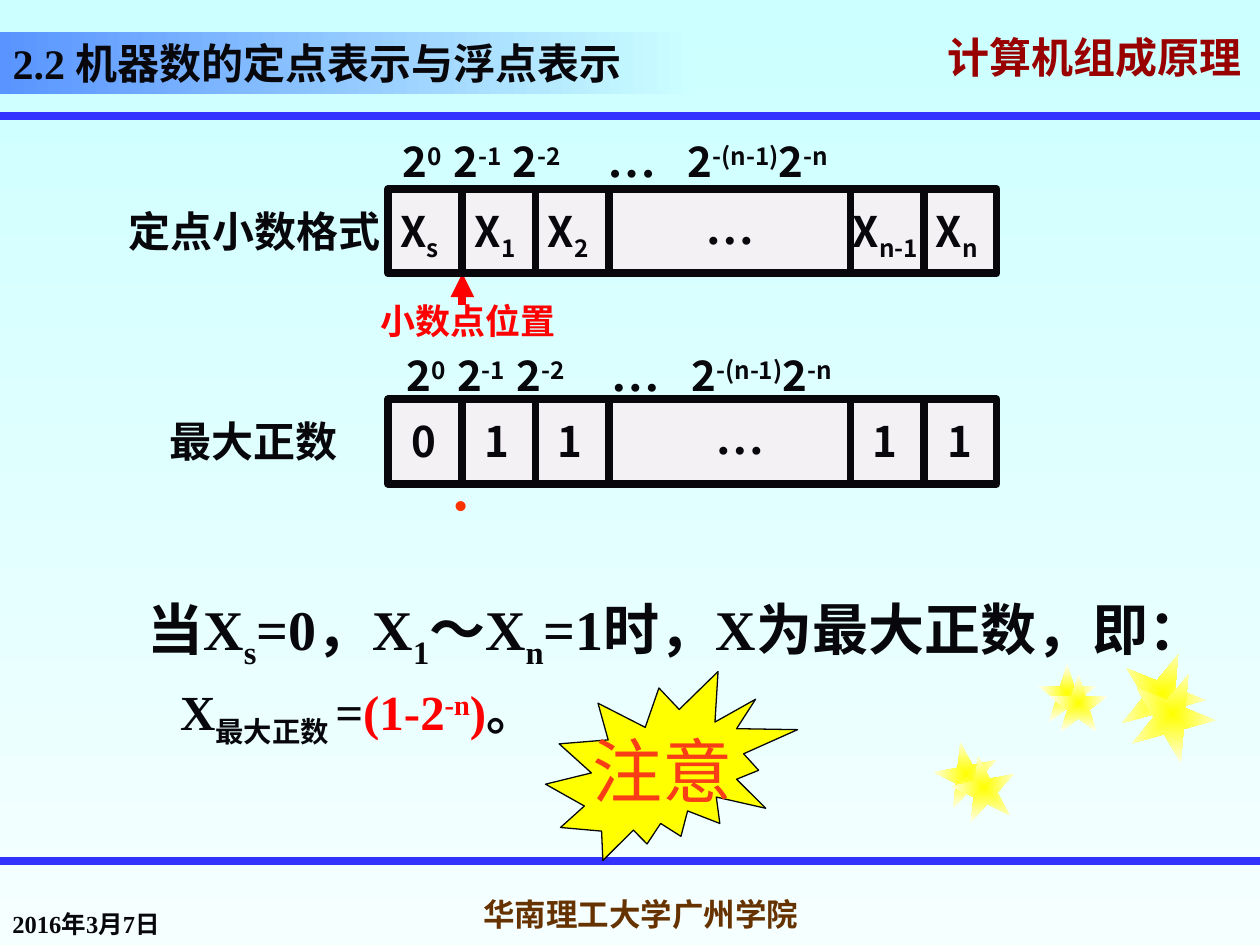
from lxml.etree import SubElement
from pptx import Presentation
from pptx.dml.color import RGBColor
from pptx.enum.shapes import MSO_CONNECTOR, MSO_SHAPE
from pptx.enum.text import MSO_ANCHOR, MSO_AUTO_SIZE, PP_ALIGN
from pptx.oxml.ns import qn
from pptx.util import Inches, Pt

HUES = {
    "ink": "08080C", "cell": "F4F1F5", "rule": "3333FF", "brand": "990000",
    "shade": "808080", "school": "663300", "red": "FF0000", "dot": "FF3300",
    "note": "F93D17", "yellow": "FFFF00", "cream": "FFFFF5", "bar": "5994FF",
    "sky": "CCFFFF", "pale": "F5FFFF",
}
SANS, SERIF = "Noto Sans CJK SC", "Times New Roman"
EDGES = [3.08, 3.67, 4.25, 4.83, 6.75, 7.33, 7.91]
HIGH = 0.67


def tint(name):
    return RGBColor.from_string(HUES[name])


class Deck:
    """Holds the style and the current slide, with a method per kind of element."""

    def __init__(self, slide):
        self.slide = slide
        self.shapes = slide.shapes

    def blend(self, fill, first, last, angle):
        fill.gradient()
        fill.gradient_angle = angle
        for stop, hue in zip(fill.gradient_stops, (first, last)):
            stop.color.rgb = tint(hue)

    def put(self, para, text, size=24, font=SANS, hue="ink", bold=True):
        for part in text.split("|"):
            base = {"_": "-25000", "^": "30000"}.get(part[0])
            run = para.add_run()
            run.text = part[1:] if base else part
            run.font.size = Pt(size)
            run.font.bold = bold
            run.font.name = font
            run.font.color.rgb = tint(hue)
            props = run.font._element
            SubElement(props, qn("a:ea")).set("typeface", SANS)
            if base:
                props.set("baseline", base)

    def label(self, box, text, align=PP_ALIGN.LEFT, anchor=MSO_ANCHOR.TOP, **style):
        shape = self.shapes.add_textbox(*map(Inches, box))
        frame = shape.text_frame
        frame.word_wrap = True
        frame.vertical_anchor = anchor
        para = frame.paragraphs[0]
        para.alignment = align
        if text:
            self.put(para, text, **style)
        return para

    def line(self, start, end, hue="ink", arrow=False):
        link = self.shapes.add_connector(
            MSO_CONNECTOR.STRAIGHT, *map(Inches, (*start, *end)))
        link.line.color.rgb = tint(hue)
        link.line.width = Pt(4.5)
        props = link._element.spPr
        if arrow:
            SubElement(props.find(qn("a:ln")), qn("a:tailEnd")).set("type", "triangle")
        SubElement(props, qn("a:effectLst"))

    def shape(self, kind, box, fill, width=0):
        item = self.shapes.add_shape(kind, *map(Inches, box))
        item.shadow.inherit = False
        item.fill.solid()
        item.fill.fore_color.rgb = tint(fill)
        if width:
            item.line.color.rgb = tint("ink")
            item.line.width = Pt(width)
        else:
            item.line.fill.background()
        return item

    def star(self, left, top, size, turn):
        item = self.shape(MSO_SHAPE.STAR_5_POINT, (left, top, size, size), "yellow")
        item.rotation = turn
        self.blend(item.fill, "yellow", "cream", 0)
        grad = item._element.spPr.find(qn("a:gradFill"))
        grad.remove(grad.find(qn("a:lin")))
        way = SubElement(grad, qn("a:path"), {"path": "shape"})
        SubElement(way, qn("a:fillToRect"), dict.fromkeys("ltrb", "50000"))

    def powers(self, left, top):
        para = self.label((left, top, 4.9, 0.57), "", anchor=MSO_ANCHOR.MIDDLE)
        tabs = SubElement(para._p.get_or_add_pPr(), qn("a:tabLst"))
        for stop in (0.4, 0.87, 1.62, 2.26):
            SubElement(tabs, qn("a:tab"), {"pos": str(Inches(stop)), "algn": "l"})
        self.put(para, "2|^0|\t2|^-1|\t2|^-2|\t")
        self.put(para, "…", 28, SERIF)
        self.put(para, "\t2|^-(n-1)|2|^-n")

    def word(self, top, cells, dots):
        self.shape(MSO_SHAPE.RECTANGLE,
                   (EDGES[0], top, EDGES[-1] - EDGES[0], HIGH), "cell", 4.5)
        for edge in EDGES[1:-1]:
            self.line((edge, top), (edge, top + HIGH))
        for left, text in cells:
            self.label((left, top + 0.08, 1.17, 0.5), text)
        self.label((dots, top, 1.08, 0.57), "…", size=28, font=SERIF)

    def title(self):
        item = self.shapes.title
        item.left, item.top, item.width, item.height = map(Inches, (0, 0.25, 5.5, 0.5))
        self.blend(item.fill, "bar", "sky", 0)
        frame = item.text_frame
        frame.auto_size = MSO_AUTO_SIZE.NONE
        frame.vertical_anchor = MSO_ANCHOR.BOTTOM
        para = frame.paragraphs[0]
        para.alignment = PP_ALIGN.LEFT
        self.put(para, "2.2 机器", font=SERIF)
        self.put(para, "数的定点表示与浮点表示")

    def body(self):
        item = self.slide.placeholders[1]
        item.left, item.top, item.width, item.height = map(
            Inches, (0.83, 4.67, 8.58, 1.67))
        frame = item.text_frame
        frame.auto_size = MSO_AUTO_SIZE.NONE
        first, second = frame.paragraphs[0], frame.add_paragraph()
        second.level = 1
        first.space_before, second.space_before = Pt(0), Pt(5.6)
        for para, left, hang in ((first, 0.38, -0.14), (second, 0.81, -0.31)):
            props = para._p.get_or_add_pPr()
            props.set("marL", str(Inches(left)))
            props.set("indent", str(Inches(hang)))
            SubElement(props, qn("a:buNone"))
        self.put(first, "当X|_s|=0，X|_1|～X|_n|=1时，X为最大正数，即：", 32, SERIF)
        self.put(second, "X|_最大正数 |=", 28, SERIF)
        self.put(second, "(1-2|^-n|)", 28, SERIF, "red")
        self.put(second, "。", 28, SERIF)

    def brand(self):
        para = self.label((7.42, 0.25, 2.58, 0.5), "计算机组成原理",
                          anchor=MSO_ANCHOR.MIDDLE, hue="brand")
        para.line_spacing = 0.7
        props = para.runs[0].font._element
        glow = SubElement(props, qn("a:effectLst"))
        cast = SubElement(glow, qn("a:outerShdw"), {"dist": "35921", "dir": "2700000"})
        SubElement(cast, qn("a:srgbClr"), {"val": HUES["shade"]})
        props.find(qn("a:latin")).addprevious(glow)

    def seal(self):
        item = self.shape(MSO_SHAPE.EXPLOSION2, (4.33, 5.33, 2, 1.5), "yellow", 0.75)
        frame = item.text_frame
        frame.word_wrap = False
        frame.vertical_anchor = MSO_ANCHOR.MIDDLE
        para = frame.paragraphs[0]
        para.alignment = PP_ALIGN.CENTER
        self.put(para, "注意", 40, SERIF, "note", False)


def main():
    show = Presentation()
    show.slide_width, show.slide_height = Inches(10), Inches(7.5)
    deck = Deck(show.slides.add_slide(show.slide_layouts[1]))
    deck.blend(deck.slide.background.fill, "sky", "pale", 270)
    deck.title()
    deck.brand()
    for top in (0.92, 6.83):
        deck.line((0, top), (10, top), "rule")
    for star in ((7.42, 5.89, 0.5, 349), (8.24, 5.27, 0.46, 0), (8.89, 5.17, 0.67, 22),
                 (7.56, 6, 0.5, 349), (8.33, 5.35, 0.46, 0), (8.97, 5.33, 0.67, 22)):
        deck.star(*star)
    deck.label((0, 7, 2.08, 0.5), "2016年3月7日",
               anchor=MSO_ANCHOR.BOTTOM, size=14, font=SERIF)
    deck.label((3.5, 7, 3.17, 0.5), "华南理工大学广州学院", PP_ALIGN.CENTER,
               MSO_ANCHOR.MIDDLE, size=18, font=SERIF, hue="school")
    deck.body()

    deck.label((0.92, 1.58, 2.5, 0.5), "定点小数格式")
    deck.label((2.92, 2.33, 2.08, 0.43), "小数点位置", size=20, font=SERIF, hue="red")
    deck.line((3.67, 2.42), (3.67, 2.17), "red", True)
    names = ("X|_s", "X|_1", "X|_2", "X|_n-1", "X|_n")
    deck.word(1.5, zip((3.08, 3.67, 4.25, 6.67, 7.33), names), 5.5)
    deck.powers(3.1, 0.97)

    deck.label((1.25, 3.25, 2.08, 0.5), "最大正数", font=SERIF)
    deck.word(3.17, zip((3.17, 3.75, 4.33, 6.83, 7.42), "01111"), 5.58)
    deck.label((3.5, 3.75, 0.75, 0.5), "•", font=SERIF, hue="dot", bold=False)
    deck.powers(3.13, 2.67)
    deck.seal()
    show.save("out.pptx")


if __name__ == "__main__":
    main()
